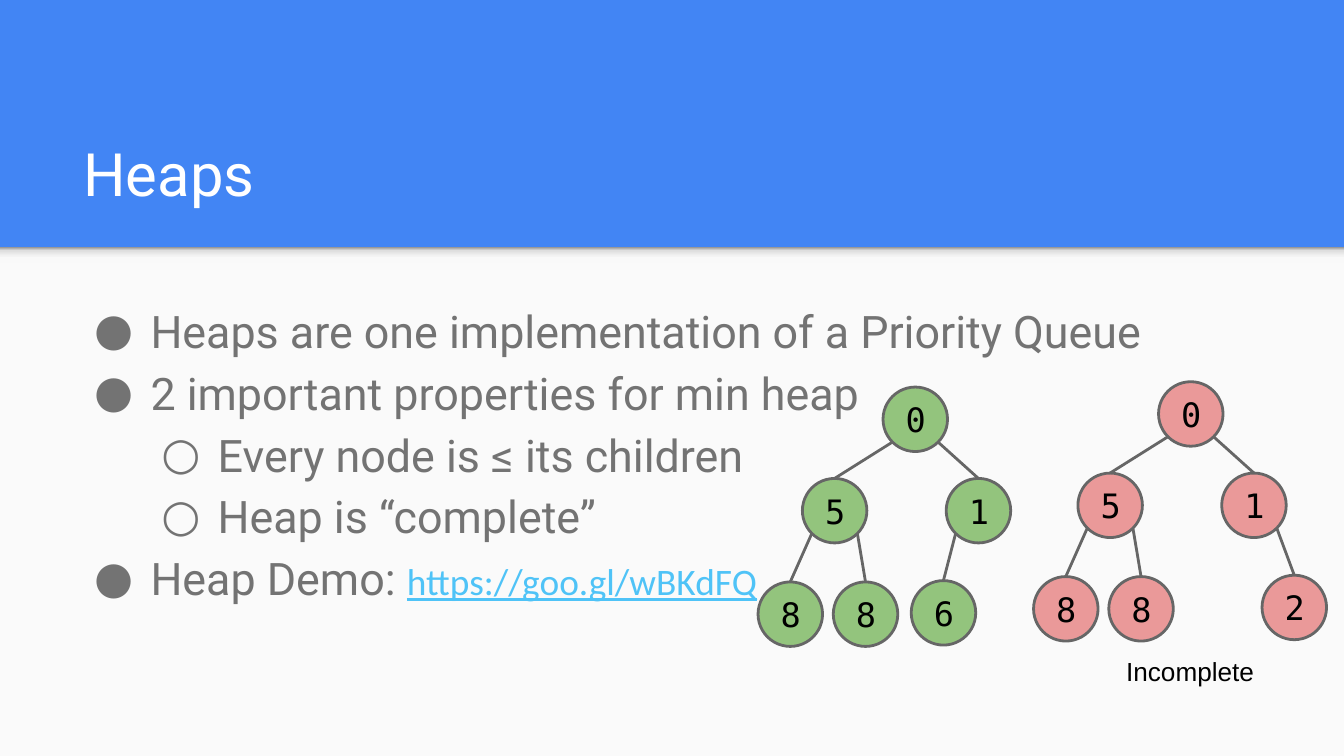
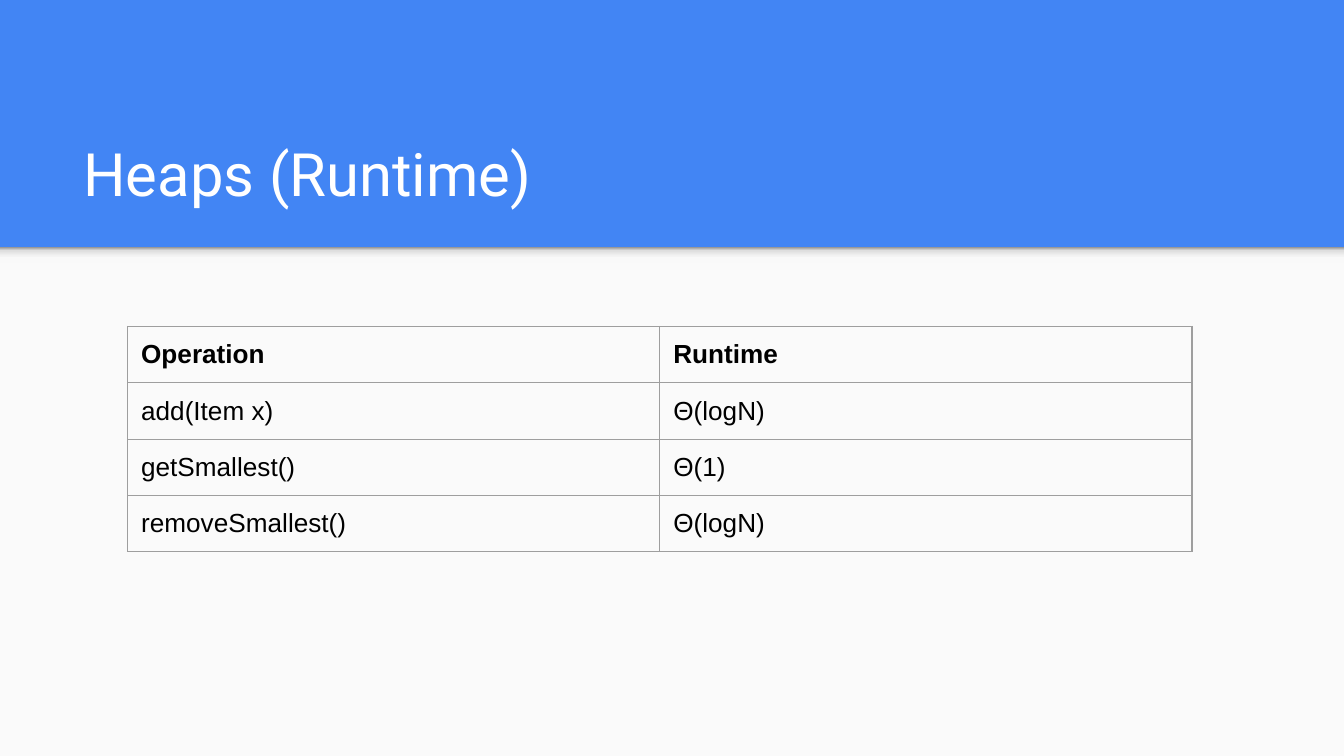
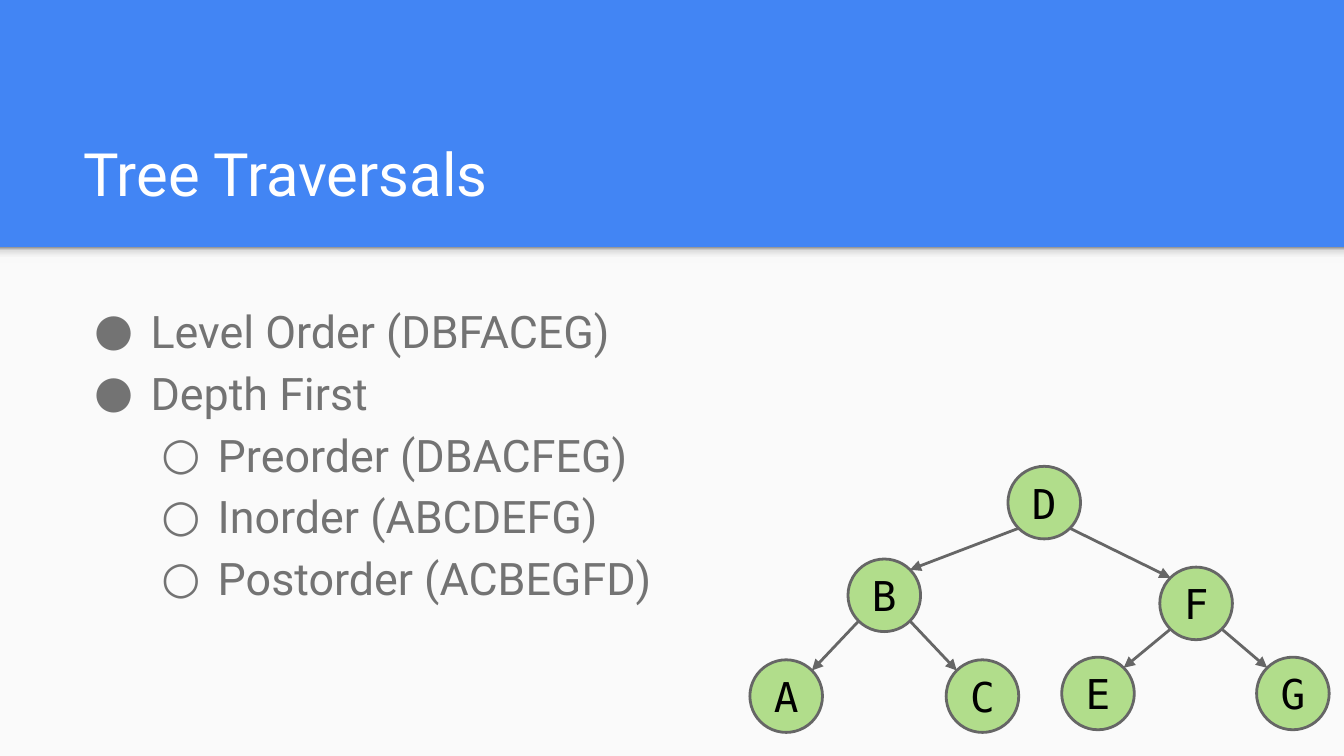
from dataclasses import dataclass
from math import sqrt

from lxml.etree import SubElement
from pptx import Presentation
from pptx.dml.color import RGBColor
from pptx.enum.shapes import MSO_CONNECTOR as Link, MSO_SHAPE as Preset
from pptx.enum.text import MSO_ANCHOR as Anchor, MSO_AUTO_SIZE as Fit, PP_ALIGN as Align
from pptx.oxml.ns import qn
from pptx.util import Inches, Pt

COLUMNS, ROWS = 100, 56.25
CELL = Inches(0.1)
INSET = Inches(0.1)
TITLE_AND_LIST, TITLE_ONLY = 1, 5


@dataclass(frozen=True)
class Theme:
    blue: str = "4285F4"
    paper: str = "FAFAFA"
    shade: tuple = ((0, "F9F9F9"), (36, "F9F9F9"), (80, "DEDEDE"), (100, "999999"))
    white: str = "FFFFFF"
    gray: str = "737373"
    black: str = "000000"
    link: str = "4FC3F7"
    outline: str = "666666"
    border: str = "9E9E9E"
    green: str = "93C47D"
    red: str = "EA9999"
    lime: str = "B1DD8B"
    heading_font: str = "Roboto"
    plain_font: str = "Arial"
    link_font: str = "Calibri"
    node_font: str = "DejaVu Sans Mono"
    title_size: int = 32
    list_size: int = 24
    link_size: int = 20
    plain_size: int = 14
    line_width: float = 1.5
    border_width: float = 0.75


def grid(*lengths):
    return [round(length * CELL) for length in lengths]


def rgb(code):
    return RGBColor.from_string(code)


def add_color(parent, code):
    SubElement(parent, qn("a:srgbClr"), val=code)


def write(para, text, font, size, color, bold=False, underline=False, align=Align.LEFT):
    para.alignment = align
    span = para.add_run()
    span.text = text
    span.font.name = font
    span.font.size = Pt(size)
    span.font.color.rgb = rgb(color)
    span.font.bold = bold
    span.font.underline = underline


def set_frame(frame, anchor=Anchor.TOP):
    frame.word_wrap = True
    frame.auto_size = Fit.NONE
    frame.vertical_anchor = anchor
    frame.margin_left = frame.margin_right = INSET
    frame.margin_top = frame.margin_bottom = INSET


class Deck:
    def __init__(self, theme):
        self.theme = theme
        self.file = Presentation()
        self.file.slide_width, self.file.slide_height = grid(COLUMNS, ROWS)
        self.page = None

    def add_page(self, layout, title):
        is_first = self.page is None
        self.page = self.file.slides.add_slide(self.file.slide_layouts[layout])
        if is_first:
            self.style_master()
        theme = self.theme
        frame = self.place(self.page.shapes.title, 5.2, 8.1, 89.9, 8.4, Anchor.BOTTOM)
        write(frame.paragraphs[0], title, theme.heading_font, theme.title_size, theme.white)

    def place(self, holder, left, top, width, height, anchor=Anchor.TOP):
        holder.left, holder.top, holder.width, holder.height = grid(left, top, width, height)
        set_frame(holder.text_frame, anchor)
        return holder.text_frame

    def style_master(self):
        master = self.file.slide_master
        master.background.fill.solid()
        master.background.fill.fore_color.rgb = rgb(self.theme.blue)
        band_top = 18.4
        paper = self.shape(Preset.RECTANGLE, 0, band_top, COLUMNS, ROWS - band_top, self.theme.paper)
        shade = self.shape(Preset.RECTANGLE, 0, band_top, COLUMNS, 1.2, self.theme.paper)
        shade.fill.gradient()
        shade.fill.gradient_angle = 90
        stops = shade.element.spPr.find(".//" + qn("a:gsLst"))
        stops.clear()
        for percent, color in self.theme.shade:
            add_color(SubElement(stops, qn("a:gs"), pos=str(percent * 1000)), color)
        for position, band in enumerate((paper, shade), start=2):
            master.element.cSld.spTree.insert(position, band.element)

    def shape(self, preset, left, top, width, height, fill, outline=None):
        box = self.page.shapes.add_shape(preset, *grid(left, top, width, height))
        box.shadow.inherit = False
        box.fill.solid()
        box.fill.fore_color.rgb = rgb(fill)
        if outline:
            box.line.color.rgb = rgb(outline)
            box.line.width = Pt(self.theme.line_width)
        else:
            box.line.fill.background()
        return box

    def bullets(self, items):
        theme = self.theme
        frame = self.place(self.page.placeholders[1], 5.2, 21, 89.9, 29.6)
        for index, (level, text, *address) in enumerate(items):
            para = frame.add_paragraph() if index else frame.paragraphs[0]
            para.level = level
            properties = para._p.get_or_add_pPr()
            properties.set("marL", str(Inches(0.5 * (level + 1))))
            properties.set("indent", str(-Inches(0.42)))
            add_color(SubElement(properties, qn("a:buClr")), theme.gray)
            SubElement(properties, qn("a:buFont"), typeface=theme.heading_font)
            SubElement(properties, qn("a:buChar"), char="●○"[level])
            para.line_spacing = 1.15
            para.space_before = para.space_after = Pt(0)
            write(para, text, theme.heading_font, theme.list_size, theme.gray)
            for part in address:
                write(para, part, theme.link_font, theme.link_size, theme.link, underline=True)

    def caption(self, text, left, top, width, height):
        theme = self.theme
        box = self.page.shapes.add_textbox(*grid(left, top, width, height))
        set_frame(box.text_frame)
        write(box.text_frame.paragraphs[0], text, theme.plain_font, theme.plain_size, theme.black)

    def node(self, label, x, y, size, fill, text_size):
        theme = self.theme
        circle = self.shape(Preset.OVAL, x - size / 2, y - size / 2, size, size, fill, theme.outline)
        set_frame(circle.text_frame, Anchor.MIDDLE)
        write(circle.text_frame.paragraphs[0], label, theme.node_font, text_size,
              theme.black, align=Align.CENTER)
        return circle

    def edge(self, start, end):
        line = self.page.shapes.add_connector(Link.STRAIGHT, *grid(*start, *end))
        line.line.color.rgb = rgb(self.theme.outline)
        line.line.width = Pt(self.theme.line_width)
        SubElement(line.element.spPr, qn("a:effectLst"))
        return line

    def tree(self, nodes, root, size, fill, text_size, arrows=False):
        diagonal = size / 2 / sqrt(2)
        centers = [(root[0] + x, root[1] + y) for _, x, y, _ in nodes]
        for (label, _, _, parent), (x, y) in zip(nodes, centers):
            circle = self.node(label, x, y, size, fill, text_size)
            if parent is None:
                continue
            parent_x, parent_y = centers[parent]
            side = diagonal if x > parent_x else -diagonal
            start = parent_x + side, parent_y + diagonal
            if arrows:
                line = self.edge(start, (x - side, y - diagonal))
                SubElement(line.line._get_or_add_ln(), qn("a:tailEnd"), type="triangle")
            else:
                self.edge(start, (x, y - size / 2)).end_connect(circle, 0)

    def table(self, rows, left, top, column_width, row_height):
        theme = self.theme
        count = len(rows[0])
        table = self.page.shapes.add_table(
            len(rows), count,
            *grid(left, top, column_width * count, row_height * len(rows))).table
        table.first_row = table.horz_banding = False
        for row, texts in enumerate(rows):
            for column, text in enumerate(texts):
                cell = table.cell(row, column)
                cell.margin_left = cell.margin_right = INSET
                cell.margin_top = cell.margin_bottom = INSET
                write(cell.text_frame.paragraphs[0], text, theme.plain_font,
                      theme.plain_size, theme.black, bold=row == 0)
                properties = cell._tc.get_or_add_tcPr()
                for side in "LRTB":
                    border = SubElement(properties, qn(f"a:ln{side}"),
                                        w=str(Pt(theme.border_width)))
                    add_color(SubElement(border, qn("a:solidFill")), theme.border)
                cell.fill.background()


def main():
    theme = Theme()
    deck = Deck(theme)

    deck.add_page(TITLE_AND_LIST, "Heaps")
    deck.bullets([
        (0, "Heaps are one implementation of a Priority Queue"),
        (0, "2 important properties for min heap"),
        (1, "Every node is ≤ its children"),
        (1, "Heap is “complete”"),
        (0, "Heap Demo: ", "https://goo.gl/wBKdFQ"),
    ])
    shared_nodes = [
        ("0", 0, 0, None), ("5", -6, 6.8, 0), ("1", 4.7, 6.8, 0),
        ("8", -9.3, 14.5, 1), ("8", -3.7, 14.5, 1),
    ]
    heaps = [
        (("6", 2.1, 14.4, 2), (68.1, 31.2), theme.green),
        (("2", 7.7, 14.4, 2), (88.6, 30.8), theme.red),
    ]
    for last_node, root, fill in heaps:
        deck.tree(shared_nodes + [last_node], root, 4.8, fill, 18)
    deck.caption("Incomplete", 82.8, 47.8, 17.2, 2.4)

    deck.add_page(TITLE_ONLY, "Heaps (Runtime)")
    deck.table([
        ("Operation", "Runtime"),
        ("add(Item x)", "Θ(logN)"),
        ("getSmallest()", "Θ(1)"),
        ("removeSmallest()", "Θ(logN)"),
    ], 9.5, 24.3, 39.6, 4.17)

    deck.add_page(TITLE_AND_LIST, "Tree Traversals")
    deck.bullets([
        (0, "Level Order (DBFACEG)"),
        (0, "Depth First"),
        (1, "Preorder (DBACFEG)"),
        (1, "Inorder (ABCDEFG)"),
        (1, "Postorder (ACBEGFD)"),
    ])
    deck.tree([
        ("D", 0, 0, None), ("B", -11.9, 6.9, 0), ("F", 11.3, 7.5, 0),
        ("A", -19.2, 14.4, 1), ("C", -4.6, 14.4, 1),
        ("E", 4, 14.2, 2), ("G", 18.5, 14.2, 2),
    ], (77.7, 37.4), 5.4, theme.lime, 22, arrows=True)

    deck.file.save("out.pptx")


if __name__ == "__main__":
    main()
